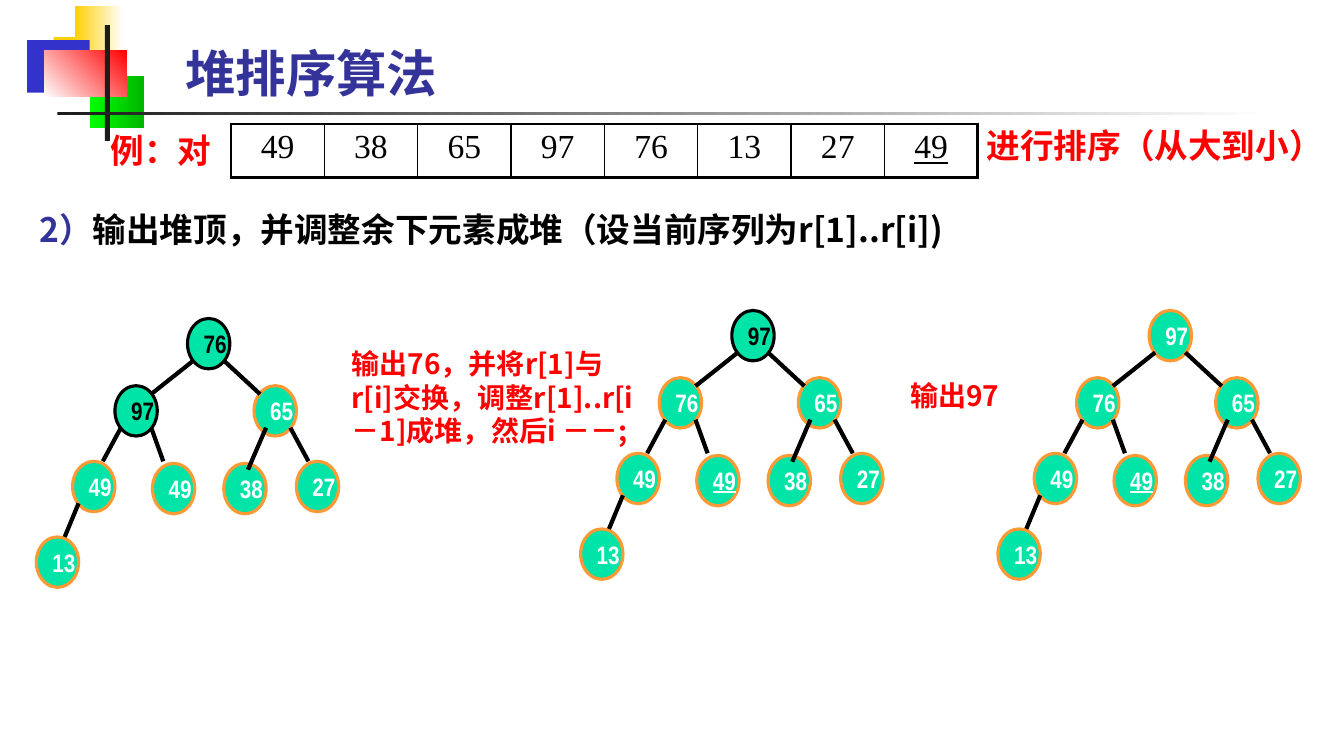
from dataclasses import dataclass

from lxml.etree import SubElement
from pptx import Presentation
from pptx.dml.color import RGBColor
from pptx.enum.shapes import MSO_CONNECTOR, MSO_SHAPE
from pptx.enum.text import MSO_ANCHOR, PP_ALIGN
from pptx.oxml.ns import qn
from pptx.util import Inches, Pt

COLORS = {
    "yellow": "FFCF01", "blue": "3333CC", "lime": "00FF00", "green": "00B600",
    "red": "FF0000", "ink": "1C1C1C", "navy": "333399", "black": "000000",
    "white": "FFFFFF", "mint": "00E4A8", "orange": "FF9933",
}
NARROW, CJK, SERIF = "Arial Narrow", "Noto Sans CJK SC", "Times New Roman"

# Tree layout in grid units: a tree box has 50 columns and 32 rows
TREE_COLS, TREE_ROWS = 50, 32
NODE_W, NODE_H = 7, 6
NODES = [(25, 0), (13, 8), (36, 8), (6, 17), (19.2, 17.25),
         (31, 17.25), (43, 17), (0, 26)]
EDGES = [(26, 5, 19, 9), (31, 5, 37, 9), (14, 13, 11, 17), (19, 13, 21, 17),
         (38, 13, 35, 18), (42, 13, 45, 17), (7, 22, 4.7, 26)]


@dataclass
class Box:
    x: float
    y: float
    w: float
    h: float

    def area(self, x, y, w, h, cols=100, rows=100):
        """Return the box at the given cell of a cols by rows grid."""
        cw, rh = self.w / cols, self.h / rows
        return Box(self.x + x * cw, self.y + y * rh, w * cw, h * rh)

    def emu(self):
        return [Inches(v) for v in (self.x, self.y, self.w, self.h)]


def rgb(name):
    return RGBColor.from_string(COLORS[name])


def style(font, name, size, color, bold=True):
    font.name, font.size, font.bold = name, Pt(size), bold
    font.color.rgb = rgb(color)


def add_text(slide, box, runs, name, size):
    """Add a one-paragraph text box; runs are (text, color) pairs."""
    tf = slide.shapes.add_textbox(*box.emu()).text_frame
    tf.word_wrap = True
    p = tf.paragraphs[0]
    for text, color in runs:
        r = p.add_run()
        r.text = text
        style(r.font, name, size, color)
        SubElement(r.font._element, qn("a:ea")).set("typeface", CJK)


def add_emblem(slide, box):
    """Draw the overlapping squares, the upright bar and the fading rule."""
    blocks = [
        ((3.98, 4.93, 4.8, 6.93), ["yellow"], 0),
        ((5.55, 0.8, 3.6, 6.93), ["yellow", "white"], 0),
        ((2.03, 5.33, 4.65, 6.93), ["blue"], 0),
        ((6.68, 10, 4.05, 6.93), ["lime", "green"], 0),
        ((3.3, 6.67, 6.15, 6.13), ["white", "red"], 45),
        ((7.8, 3.33, 0.38, 15.33), ["ink"], 0),
        ((4.28, 14.8, 90, 0.4), ["ink", "white"], 0),
    ]
    for place, colors, angle in blocks:
        sp = slide.shapes.add_shape(MSO_SHAPE.RECTANGLE, *box.area(*place).emu())
        sp.shadow.inherit = False
        sp.line.fill.background()
        if len(colors) == 1:
            sp.fill.solid()
            sp.fill.fore_color.rgb = rgb(colors[0])
        else:
            sp.fill.gradient()
            sp.fill.gradient_angle = angle
            for stop, color, pos in zip(sp.fill.gradient_stops, colors, (0, 1)):
                stop.color.rgb = rgb(color)
                stop.position = pos


def set_borders(cell, widths):
    """Set black borders; widths maps L, R, T and B to points."""
    pr = cell._tc.get_or_add_tcPr()
    for i, (side, width) in enumerate(widths.items()):
        ln = pr.makeelement(qn(f"a:ln{side}"), {"w": str(Pt(width))})
        fill = SubElement(ln, qn("a:solidFill"))
        SubElement(fill, qn("a:srgbClr")).set("val", COLORS["black"])
        pr.insert(i, ln)


def add_sequence(slide, box, values):
    last = len(values) - 1
    table = slide.shapes.add_table(1, len(values), *box.emu()).table
    table.first_row = table.horz_banding = False
    for i, value in enumerate(values):
        table.columns[i].width = Inches(box.w / len(values))
        cell = table.cell(0, i)
        cell.text = value
        cell.fill.background()
        set_borders(cell, {"L": 2.25 if i == 0 else 1,
                           "R": 2.25 if i == last else 1, "T": 2.25, "B": 2.25})
        p = cell.text_frame.paragraphs[0]
        p.alignment = PP_ALIGN.CENTER
        style(p.font, SERIF, 24, "black", bold=False)
        p.runs[0].font.underline = True if i == last else None


def add_tree(slide, box, values, marked=(), underlined=None):
    """Draw a heap; marked nodes are black, one node may be underlined."""
    shapes = slide.shapes.add_group_shape().shapes
    for i, (value, (x, y)) in enumerate(zip(values, NODES)):
        place = box.area(x, y, NODE_W, NODE_H, TREE_COLS, TREE_ROWS)
        sp = shapes.add_shape(MSO_SHAPE.OVAL, *place.emu())
        sp.shadow.inherit = False
        sp.fill.solid()
        sp.fill.fore_color.rgb = rgb("mint")
        sp.line.color.rgb = rgb("black" if i in marked else "orange")
        sp.line.width = Pt(2.25)
        tf = sp.text_frame
        tf.text = str(value)
        tf.word_wrap = False
        tf.vertical_anchor = MSO_ANCHOR.MIDDLE
        p = tf.paragraphs[0]
        p.alignment = PP_ALIGN.LEFT
        style(p.font, NARROW, 18, "black" if i in marked else "white")
        p.runs[0].font.underline = True if i == underlined else None
    for x1, y1, x2, y2 in EDGES:
        edge = box.area(x1, y1, x2 - x1, y2 - y1, TREE_COLS, TREE_ROWS)
        ends = (edge.x, edge.y, edge.x + edge.w, edge.y + edge.h)
        ln = shapes.add_connector(MSO_CONNECTOR.STRAIGHT, *map(Inches, ends))
        ln.line.color.rgb = rgb("black")
        ln.line.width = Pt(3)
        SubElement(ln._element.spPr, qn("a:effectLst"))


def add_header(slide, box):
    add_emblem(slide, box)
    add_text(slide, box.area(13.05, 4.93, 36.75, 9.47),
             [("堆排序算法", "navy")], NARROW, 36)


def add_example(slide, box):
    add_sequence(slide, box.area(17.18, 16.4, 55.58, 7.07),
                 ["49", "38", "65", "97", "76", "13", "27", "49"])
    add_text(slide, box.area(2.18, 26.93, 71.85, 6.67),
             [("2）", "navy"),
              ("输出堆顶，并调整余下元素成堆（设当前序列为r[1]..r[i])", "black")], CJK, 24)
    add_text(slide, box.area(7.5, 16.53, 12.68, 6.67),
             [("例：对", "red")], NARROW, 24)
    add_text(slide, box.area(72.68, 15.87, 28.2, 6.67),
             [("进行排序（从大到小）", "red")], NARROW, 24)


def add_steps(slide, box):
    add_text(slide, box.area(25.43, 45.2, 22.73, 19.33),
             [("输出76，并将r[1]与r[i]交换，调整r[1]..r[i－1]成堆，然后i －－;", "red")],
             CJK, 20)
    add_text(slide, box.area(66.98, 49.47, 11.25, 5.87),
             [("输出97", "red")], CJK, 20)
    rebuilt = [97, 76, 65, 49, 49, 38, 27, 13]
    add_tree(slide, box.area(2.7, 42.13, 22.5, 35.56),
             [76, 97, 65, 49, 49, 38, 27, 13], marked=(0, 1))
    add_tree(slide, box.area(43.2, 41.07, 22.5, 35.56),
             rebuilt, marked=(0,), underlined=4)
    add_tree(slide, box.area(74.25, 41.07, 22.5, 35.56), rebuilt, underlined=4)


def main():
    prs = Presentation()
    page = Box(0, 0, 13.33, 7.5)
    prs.slide_width, prs.slide_height = Inches(page.w), Inches(page.h)
    slide = prs.slides.add_slide(prs.slide_layouts[6])
    add_header(slide, page)
    add_example(slide, page)
    add_steps(slide, page)
    prs.save("out.pptx")


if __name__ == "__main__":
    main()
